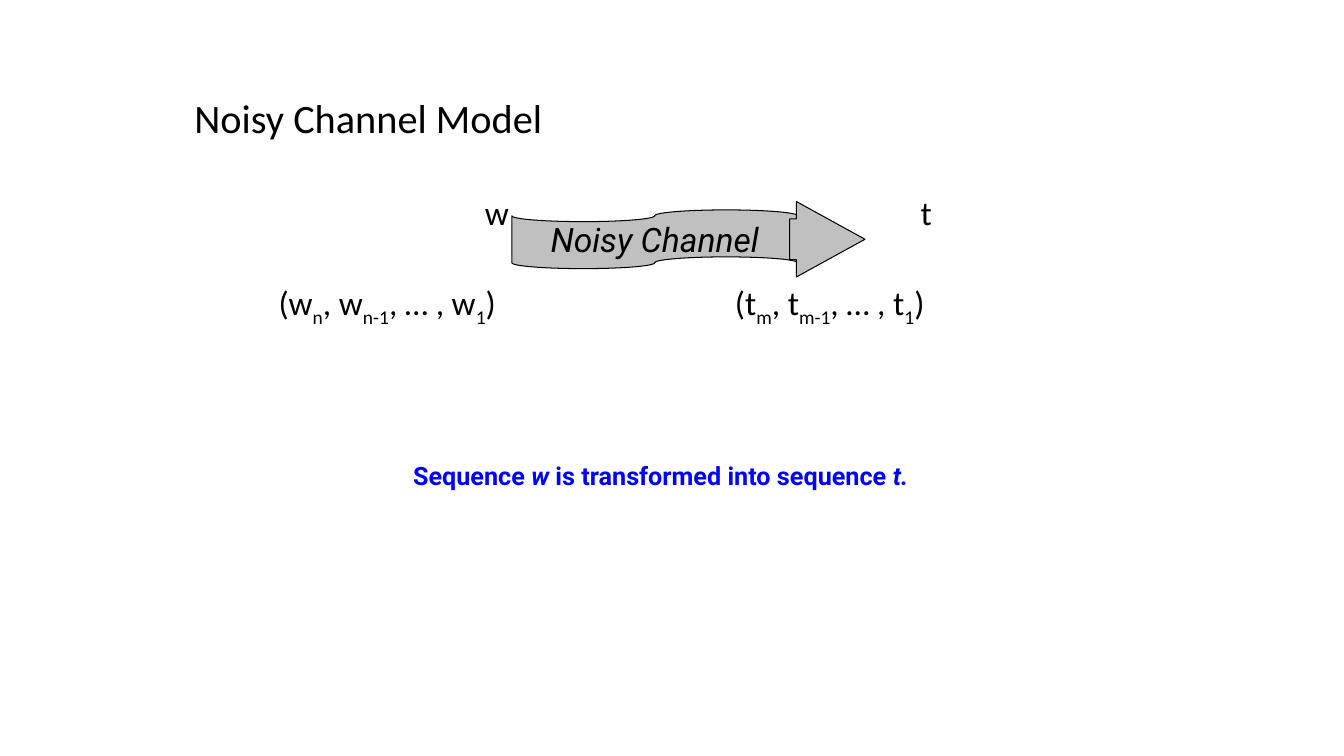
from dataclasses import dataclass
from pptx import Presentation
from pptx.dml.color import RGBColor
from pptx.enum.shapes import MSO_SHAPE
from pptx.enum.text import MSO_ANCHOR, PP_ALIGN
from pptx.util import Cm, Pt


@dataclass(frozen=True)
class Theme:
    ink: RGBColor = RGBColor(0, 0, 0)
    accent: RGBColor = RGBColor(0, 0, 255)
    channel: RGBColor = RGBColor(192, 192, 192)
    body_font: str = "Calibri"
    label_font: str = "Roboto"
    title_size: float = 28.8
    body_size: float = 24
    note_size: float = 18
    line_width: float = 0.75


class SlideBuilder:
    def __init__(self, prs, theme):
        self.theme = theme
        self.s = prs.slides.add_slide(prs.slide_layouts[6])

    def style(self, p, size, font, color):
        p.font.size = Pt(size)
        p.font.name = font
        p.font.color.rgb = color

    def text(self, x, y, w, h, size, font=None, color=None):
        tf = self.s.shapes.add_textbox(Cm(x), Cm(y), Cm(w), Cm(h)).text_frame
        tf.word_wrap = True
        tf.margin_left = tf.margin_right = tf.margin_top = tf.margin_bottom = 0
        p = tf.paragraphs[0]
        self.style(p, size, font or self.theme.body_font, color or self.theme.ink)
        return p

    def title(self, text):
        p = self.text(4.9, 2.54, 22.6, 0.97, self.theme.title_size)
        p.line_spacing = 0.9
        p.add_run().text = text
        self.s.shapes[-1].text_frame.vertical_anchor = MSO_ANCHOR.MIDDLE

    def symbol(self, x, text):
        self.text(x, 4.84, 1, 1.03, self.theme.body_size).add_run().text = text

    def sequence(self, x, letter, last):
        p = self.text(x, 7.11, 6, 1.03, self.theme.body_size)
        lead = "("
        for index in (last, f"{last}-1", "1"):
            p.add_run().text = lead + letter
            r = p.add_run()
            r.text = index
            r._r.get_or_add_rPr().set("baseline", "-25000")
            lead = ", " if index == last else ", … , "
        p.add_run().text = ")"

    def shape(self, kind, x, y, w, h, text=None, adjustments=()):
        sp = self.s.shapes.add_shape(kind, Cm(x), Cm(y), Cm(w), Cm(h))
        sp.shadow.inherit = False
        sp.fill.solid()
        sp.fill.fore_color.rgb = self.theme.channel
        sp.line.color.rgb = self.theme.ink
        sp.line.width = Pt(self.theme.line_width)
        for i, value in enumerate(adjustments):
            sp.adjustments[i] = value
        if text:
            tf = sp.text_frame
            tf.word_wrap = False
            tf.vertical_anchor = MSO_ANCHOR.MIDDLE
            p = tf.paragraphs[0]
            p.alignment = PP_ALIGN.CENTER
            self.style(p, self.theme.body_size, self.theme.label_font, self.theme.ink)
            p.font.italic = True
            p.add_run().text = text

    def note(self, parts):
        t = self.theme
        p = self.text(10.41, 11.6, 14.5, 1.9, t.note_size, t.label_font, t.accent)
        p.font.bold = True
        for text, italic in parts:
            r = p.add_run()
            r.text = text
            r.font.italic = italic


def main():
    prs = Presentation()
    prs.slide_width, prs.slide_height = Cm(33.87), Cm(19.05)
    slide = SlideBuilder(prs, Theme())
    slide.title("Noisy Channel Model")
    slide.symbol(12.22, "w")
    slide.symbol(23.2, "t")
    slide.sequence(7.02, "w", "n")
    slide.sequence(18.52, "t", "m")
    slide.shape(MSO_SHAPE.FLOWCHART_PUNCHED_TAPE, 12.9, 5.29, 7.2, 1.48, "Noisy Channel")
    slide.shape(MSO_SHAPE.RIGHT_ARROW, 19.9, 5.08, 1.9, 1.9, adjustments=(0.54, 0.91))
    slide.note([
        ("Sequence ", False),
        ("w ", True),
        ("is transformed into sequence ", False),
        ("t.", True),
    ])
    prs.save("out.pptx")


if __name__ == "__main__":
    main()
